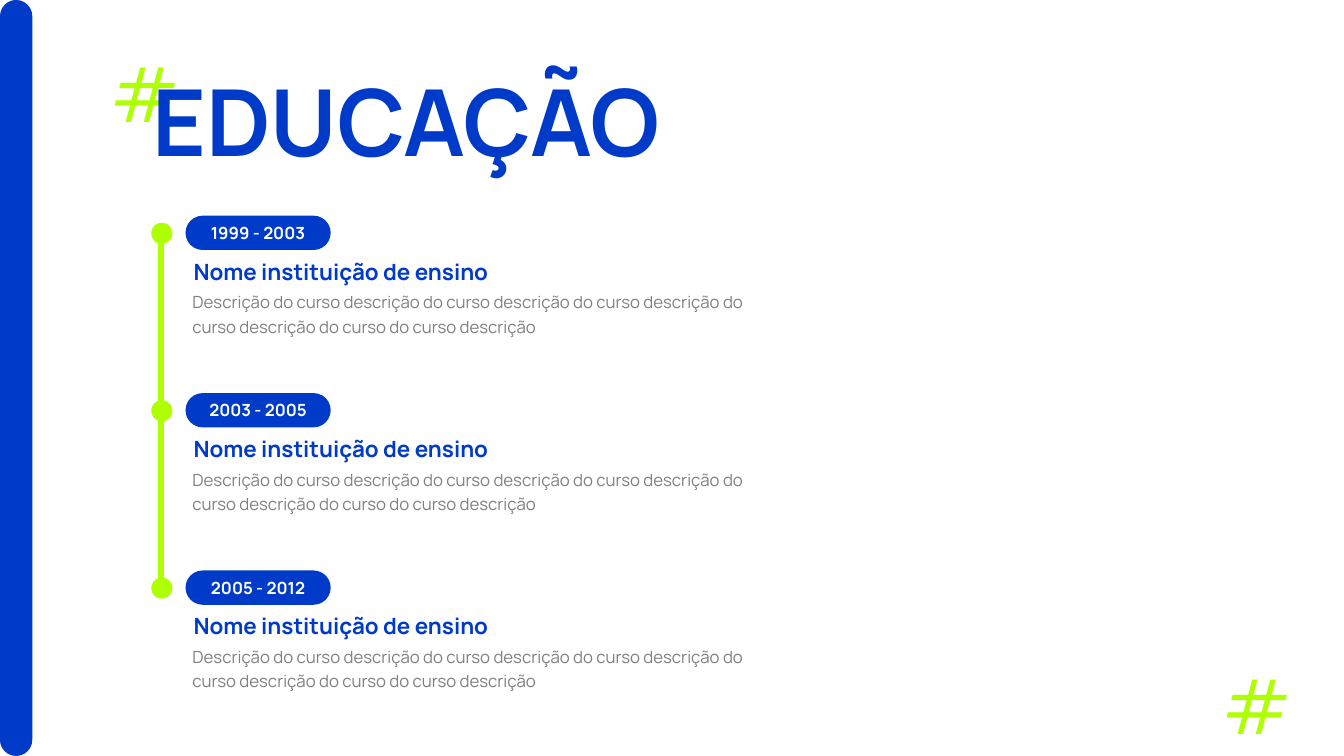
from dataclasses import dataclass

from lxml.etree import SubElement
from pptx import Presentation
from pptx.dml.color import RGBColor
from pptx.enum.shapes import MSO_CONNECTOR, MSO_SHAPE
from pptx.enum.text import MSO_ANCHOR as Anchor, MSO_AUTO_SIZE as AutoSize, PP_ALIGN as Align
from pptx.oxml.ns import qn
from pptx.shapes.autoshape import Shape
from pptx.slide import Slide
from pptx.util import Emu, Pt

# One px is a hundredth of an inch
SCALE = 9144
FONT = "Manrope"
BLUE = RGBColor(0x00, 0x3A, 0xC8)
LIME = RGBColor(0xAF, 0xFF, 0x03)
GRAY = RGBColor(0x80, 0x80, 0x80)
WHITE = RGBColor(0xFF, 0xFF, 0xFF)

FIRST_TOP, PITCH = 214, 176
AXIS_X = 160


@dataclass(frozen=True)
class Area:
    left: int
    top: int
    width: int
    height: int

    def emu(self) -> tuple[Emu, Emu, Emu, Emu]:
        return px(self.left), px(self.top), px(self.width), px(self.height)


@dataclass(frozen=True)
class Style:
    size: int
    color: RGBColor
    bold: bool = False
    align: Align = Align.LEFT
    anchor: Anchor = Anchor.TOP
    spacing: float = 1.0


@dataclass(frozen=True)
class Course:
    years: str
    school: str
    description: str


HASH = Style(54, LIME)
TITLE = Style(66, BLUE, bold=True, anchor=Anchor.BOTTOM, spacing=0.8)
YEARS = Style(12, WHITE, bold=True, align=Align.CENTER, anchor=Anchor.MIDDLE)
SCHOOL = Style(16, BLUE, bold=True, anchor=Anchor.MIDDLE)
DESCRIPTION = Style(12, GRAY, spacing=1.2)

SCHOOL_NAME = "Nome instituição de ensino"
COURSE_TEXT = (
    "Descrição do curso descrição do curso descrição do curso descrição do curso "
    "descrição do curso do curso descrição"
)
COURSES = [
    Course(years, SCHOOL_NAME, COURSE_TEXT)
    for years in ("1999 - 2003", "2003 - 2005", "2005 - 2012")
]


def px(length: int) -> Emu:
    return Emu(length * SCALE)


def write(box: Shape, text: str, style: Style) -> None:
    frame = box.text_frame
    frame.word_wrap = True
    frame.vertical_anchor = style.anchor
    para = frame.paragraphs[0]
    para.text = text
    para.alignment = style.align
    para.line_spacing = style.spacing
    para.font.name = FONT
    para.font.size = Pt(style.size)
    para.font.bold = style.bold
    para.font.color.rgb = style.color


def add_text(page: Slide, area: Area, text: str, style: Style) -> Shape:
    box = page.shapes.add_textbox(*area.emu())
    write(box, text, style)
    return box


def add_solid(page: Slide, kind: MSO_SHAPE, area: Area, color: RGBColor) -> Shape:
    shape = page.shapes.add_shape(kind, *area.emu())
    shape.shadow.inherit = False
    shape.fill.solid()
    shape.fill.fore_color.rgb = color
    shape.line.fill.background()
    return shape


def add_pill(page: Slide, area: Area) -> Shape:
    pill = add_solid(page, MSO_SHAPE.ROUNDED_RECTANGLE, area, BLUE)
    pill.adjustments[0] = 0.5
    return pill


def add_hash(page: Slide, left: int, top: int) -> None:
    box = add_text(page, Area(left, top, 133, 101), "#", HASH)
    box.text_frame.auto_size = AutoSize.SHAPE_TO_FIT_TEXT


def add_axis(page: Slide, top: int, bottom: int) -> None:
    axis = page.shapes.add_connector(
        MSO_CONNECTOR.STRAIGHT, px(AXIS_X), px(top), px(AXIS_X), px(bottom)
    )
    axis.line.color.rgb = LIME
    axis.line.width = Pt(4.5)
    SubElement(axis._element.spPr, qn("a:effectLst"))


def add_course(page: Slide, top: int, course: Course) -> None:
    write(add_pill(page, Area(184, top, 144, 34)), course.years, YEARS)
    add_text(page, Area(181, top + 67, 595, 61), course.description, DESCRIPTION)
    school = add_text(page, Area(184, top + 41, 397, 28), course.school, SCHOOL)
    frame = school.text_frame
    frame.margin_left = frame.margin_right = px(8)
    frame.margin_top = frame.margin_bottom = px(0)
    add_solid(page, MSO_SHAPE.OVAL, Area(AXIS_X - 10, top + 7, 21, 21), LIME)


def main() -> None:
    deck = Presentation()
    deck.slide_width, deck.slide_height = px(1333), px(750)
    page = deck.slides.add_slide(deck.slide_layouts[6])

    # Side bar and title
    add_pill(page, Area(0, 0, 32, 750))
    add_hash(page, 100, 42)
    add_text(page, Area(141, 85, 664, 93), "EDUCAÇÃO", TITLE)

    # Timeline
    add_axis(page, 226, 588)
    for index, course in enumerate(COURSES):
        add_course(page, FIRST_TOP + index * PITCH, course)

    # Corner mark
    add_hash(page, 1203, 649)

    deck.save("out.pptx")


if __name__ == "__main__":
    main()
